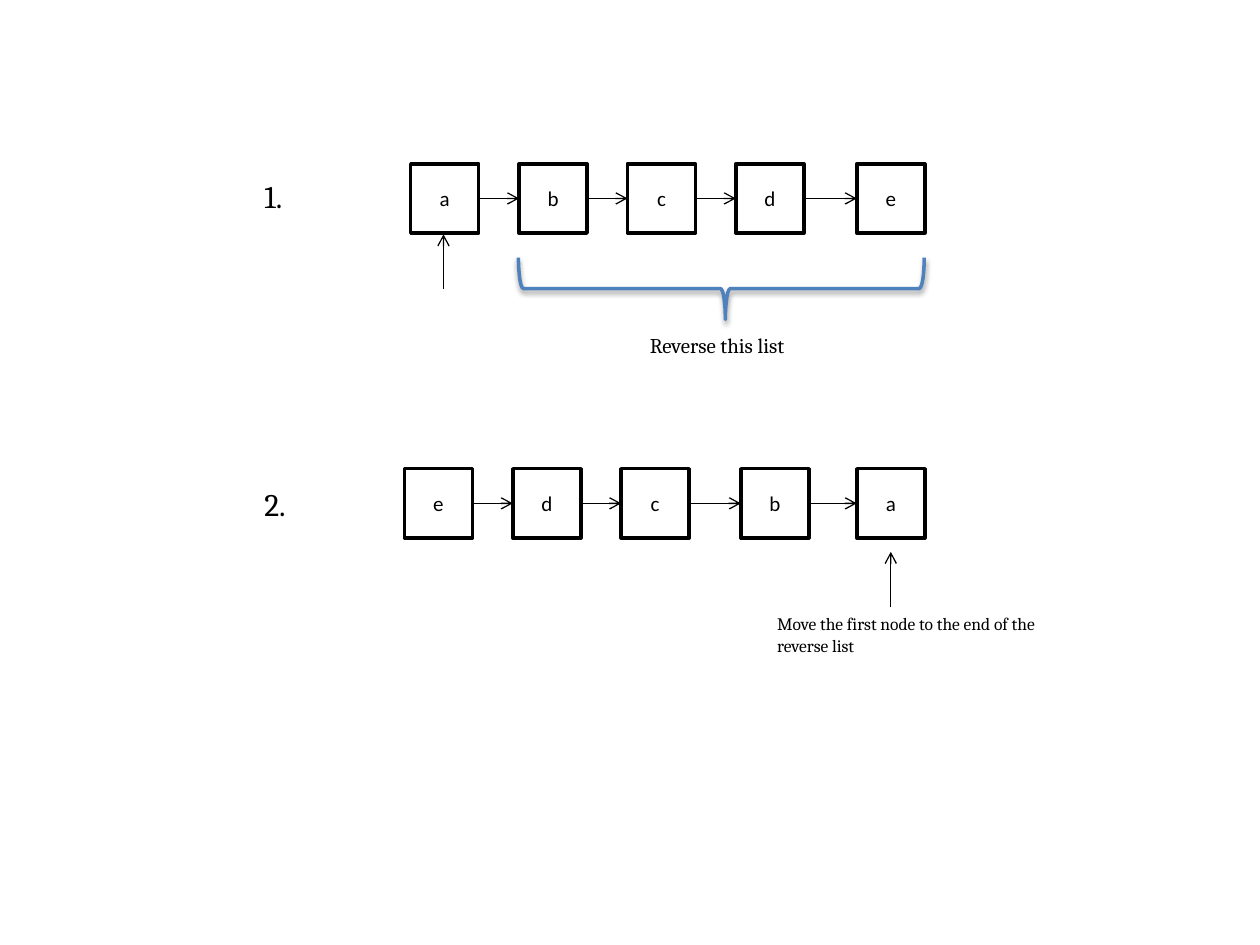
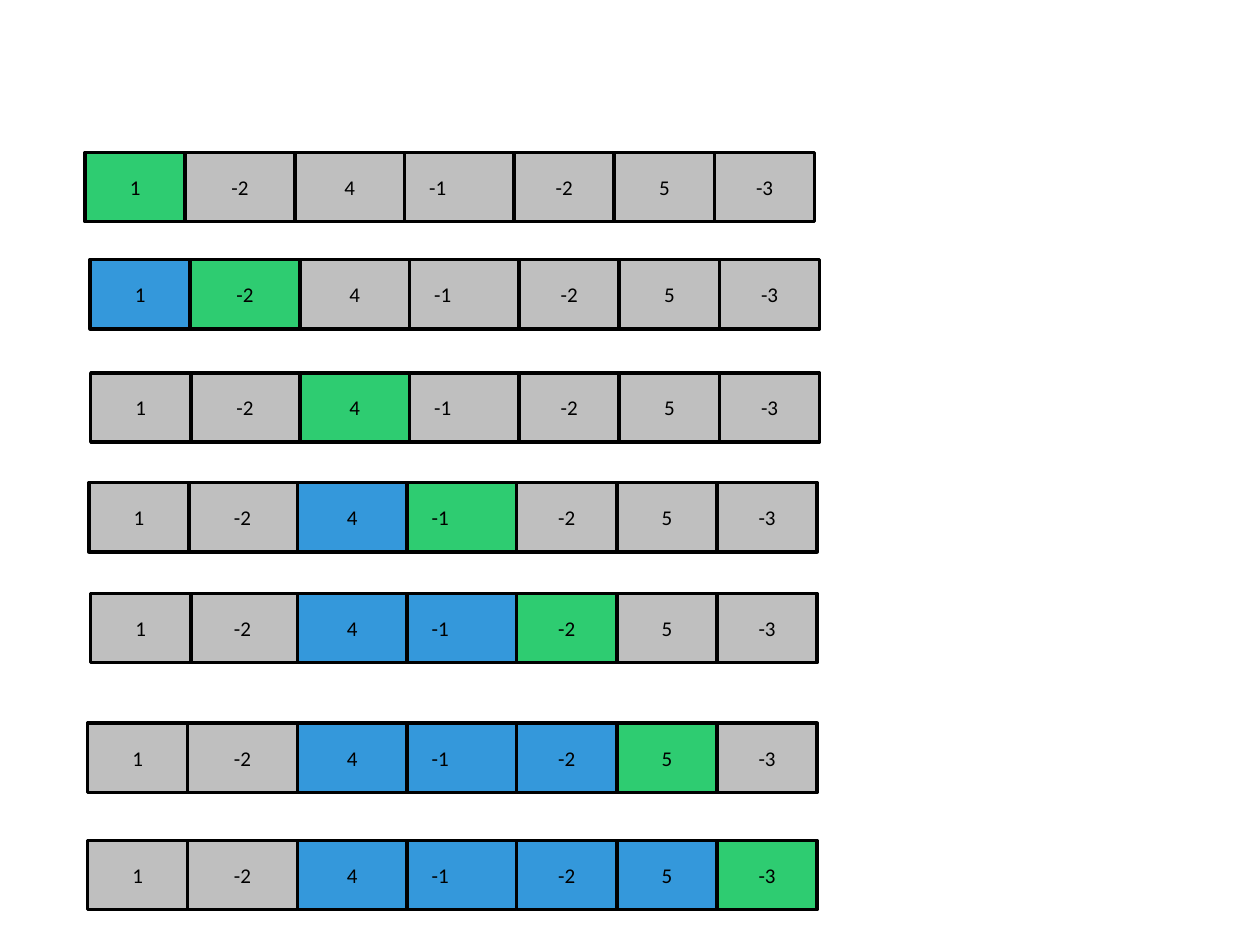
import itertools

import lxml.etree
import pptx
import pptx.dml.color
import pptx.enum.shapes
import pptx.enum.text
import pptx.oxml.ns
import pptx.util

BLACK = pptx.dml.color.RGBColor(0x00, 0x00, 0x00)
WHITE = pptx.dml.color.RGBColor(0xFF, 0xFF, 0xFF)
GRAY = pptx.dml.color.RGBColor(0xBF, 0xBF, 0xBF)
GREEN = pptx.dml.color.RGBColor(0x2E, 0xCC, 0x71)
BLUE = pptx.dml.color.RGBColor(0x34, 0x98, 0xDB)
BRACE_BLUE = pptx.dml.color.RGBColor(0x4F, 0x81, 0xBD)

COLUMNS, ROWS = 100, 75
BOX_HEIGHT = 5.5
NODE_WIDTH = 5.4
BLANK_LAYOUT = 6

VALUES = [1, -2, 4, -1, -2, 5, -3]
CELL_WIDTHS = [7.95, 8.7, 8.7, 8.7, 7.95, 7.95, 7.95]
STEP_TOPS = [12.1, 20.6, 29.6, 38.3, 47.1, 57.4, 66.7]
STEP_LEFTS = [6.75, 7.15, 7.15, 6.95, 6.95, 6.95, 6.95]
FIRST_CELL_LEFTS = [6.75, 7.15, 7.2, 7.05, 7.2, 6.95, 6.95]


def write_text(text_frame, text, *, size=12, font="Calibri", color=BLACK,
               align=pptx.enum.text.PP_ALIGN.LEFT,
               anchor=pptx.enum.text.MSO_ANCHOR.TOP):
    text_frame.word_wrap = True
    text_frame.vertical_anchor = anchor
    paragraph = text_frame.paragraphs[0]
    paragraph.text = text
    paragraph.alignment = align
    paragraph.font.size = pptx.util.Pt(size)
    paragraph.font.name = font
    paragraph.font.color.rgb = color


def add_xml(parent, tag, **attributes):
    return lxml.etree.SubElement(parent, pptx.oxml.ns.qn(tag), **attributes)


class Diagram:
    def __init__(self, presentation):
        self.presentation = presentation
        self.slide = None
        self.group = None

    def start_slide(self):
        layout = self.presentation.slide_layouts[BLANK_LAYOUT]
        self.slide = self.presentation.slides.add_slide(layout)

    def start_group(self):
        self.group = self.slide.shapes.add_group_shape()

    def x(self, columns):
        return round(self.presentation.slide_width * columns / COLUMNS)

    def y(self, rows):
        return round(self.presentation.slide_height * rows / ROWS)

    def frame(self, left, top, width, height):
        return self.x(left), self.y(top), self.x(width), self.y(height)

    def outline(self, shape, color):
        shape.shadow.inherit = False
        shape.line.color.rgb = color
        shape.line.width = pptx.util.Pt(2)

    def box(self, text, left, top, width, fill=WHITE, indent_right=0):
        shape = self.group.shapes.add_shape(
            pptx.enum.shapes.MSO_SHAPE.RECTANGLE,
            *self.frame(left, top, width, BOX_HEIGHT))
        self.outline(shape, BLACK)
        shape.fill.solid()
        shape.fill.fore_color.rgb = fill
        shape.text_frame.margin_right += self.x(indent_right)
        write_text(shape.text_frame, text,
                   align=pptx.enum.text.PP_ALIGN.CENTER,
                   anchor=pptx.enum.text.MSO_ANCHOR.MIDDLE)

    def arrow(self, from_x, from_y, to_x, to_y):
        connector = self.group.shapes.add_connector(
            pptx.enum.shapes.MSO_CONNECTOR.STRAIGHT,
            *self.frame(from_x, from_y, to_x, to_y))
        connector.line.color.rgb = BLACK
        connector.line.width = pptx.util.Pt(0.75)
        add_xml(connector.get_or_add_ln(), "a:tailEnd", type="arrow")
        add_xml(connector.element.spPr, "a:effectLst")

    def label(self, text, left, top, width, height, size):
        text_box = self.group.shapes.add_textbox(
            *self.frame(left, top, width, height))
        write_text(text_box.text_frame, text, size=size, font="Cambria")
        text_box.text_frame.auto_size = (
            pptx.enum.text.MSO_AUTO_SIZE.SHAPE_TO_FIT_TEXT)

    def brace(self, left, top, width, height):
        shape = self.group.shapes.add_shape(
            pptx.enum.shapes.MSO_SHAPE.LEFT_BRACE,
            *self.frame(left, top, width, height))
        shape.rotation = 270
        shape.adjustments[0] = 0.08
        shape.adjustments[1] = 0.51
        shape.fill.background()
        self.outline(shape, BRACE_BLUE)
        effects = shape.element.spPr.find(pptx.oxml.ns.qn("a:effectLst"))
        shadow = add_xml(effects, "a:outerShdw", blurRad="40000",
                         dist="20000", dir="5400000", rotWithShape="0")
        shadow_color = add_xml(shadow, "a:srgbClr", val=str(BLACK))
        add_xml(shadow_color, "a:alpha", val="38000")

    def linked_list(self, names, lefts, top):
        for name, left in zip(names, lefts):
            self.box(name, left, top, NODE_WIDTH)
        middle = top + BOX_HEIGHT / 2
        for left, next_left in itertools.pairwise(lefts):
            self.arrow(left + NODE_WIDTH, middle, next_left, middle)


def build_list_reversal(diagram):
    diagram.start_slide()
    diagram.start_group()
    diagram.linked_list("abcde", [32.6, 41.2, 49.8, 58.4, 68], 13)
    diagram.arrow(35.2, 22.9, 35.2, 18.6)
    diagram.brace(54.8, 6.8, 4.9, 32.2)
    diagram.label("Reverse this list", 50.6, 25.9, 19.5, 3.7, 12)
    diagram.linked_list("edcba", [32.1, 40.7, 49.3, 58.8, 68], 37.2)
    diagram.arrow(70.7, 48.2, 70.7, 43.8)
    diagram.label("Move the first node to the end of the reverse list",
                  60.7, 48.2, 25.3, 5.4, 10)
    for number, top in (("1.", 13.6), ("2.", 38)):
        diagram.label(number, 20, top, 6.1, 5, 18)


def build_maximum_subarray(diagram):
    diagram.start_slide()
    offsets = [0, *itertools.accumulate(CELL_WIDTHS)]
    window_start, window_sum = 0, 0
    steps = zip(STEP_TOPS, STEP_LEFTS, FIRST_CELL_LEFTS)
    for current, (top, row_left, first_left) in enumerate(steps):
        if window_sum < 0:
            window_start, window_sum = current, 0
        window_sum += VALUES[current]
        diagram.start_group()
        for index in reversed(range(len(VALUES))):
            if index == current:
                fill = GREEN
            elif window_start <= index < current:
                fill = BLUE
            else:
                fill = GRAY
            left = row_left + offsets[index] if index else first_left
            indent = 3.4 if VALUES[index] == -1 else 0
            diagram.box(str(VALUES[index]), left, top, CELL_WIDTHS[index],
                        fill, indent)


def main():
    presentation = pptx.Presentation()
    presentation.slide_width = pptx.util.Inches(10)
    presentation.slide_height = pptx.util.Inches(7.5)
    diagram = Diagram(presentation)
    build_list_reversal(diagram)
    build_maximum_subarray(diagram)
    presentation.save("out.pptx")


if __name__ == "__main__":
    main()
